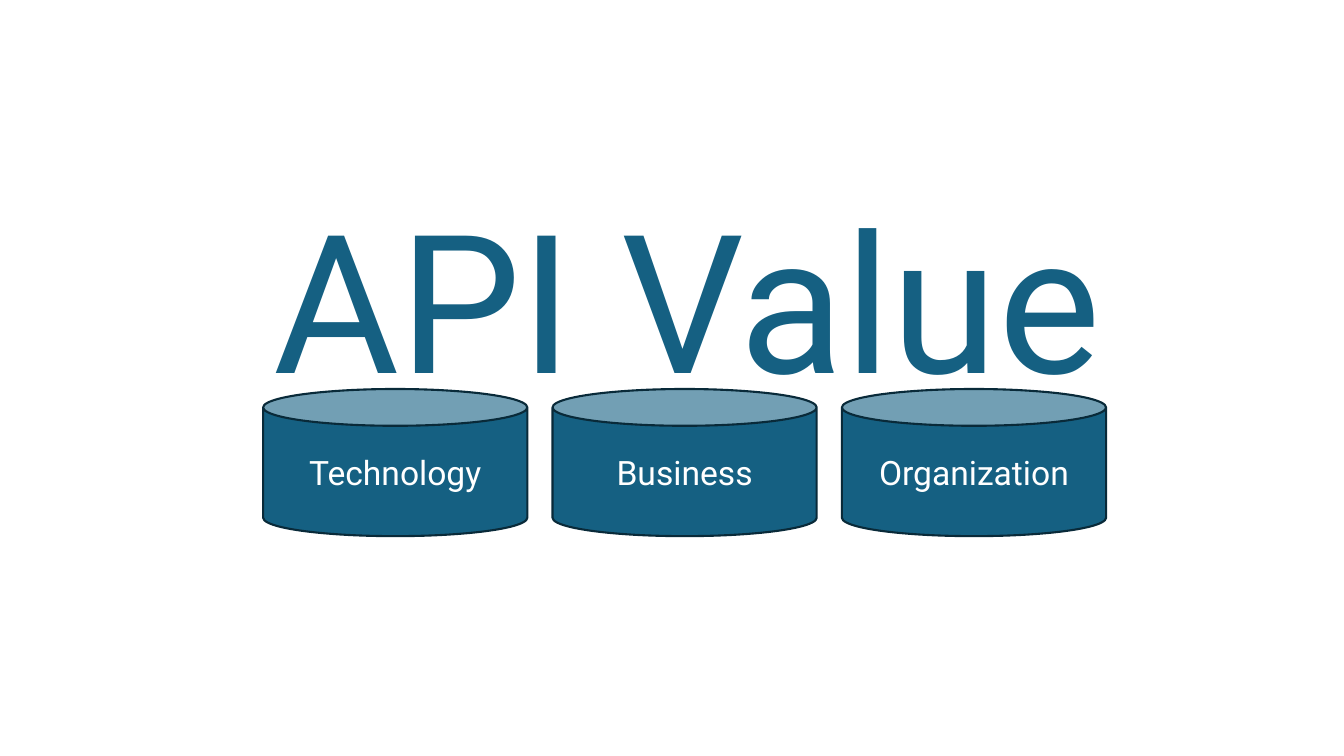
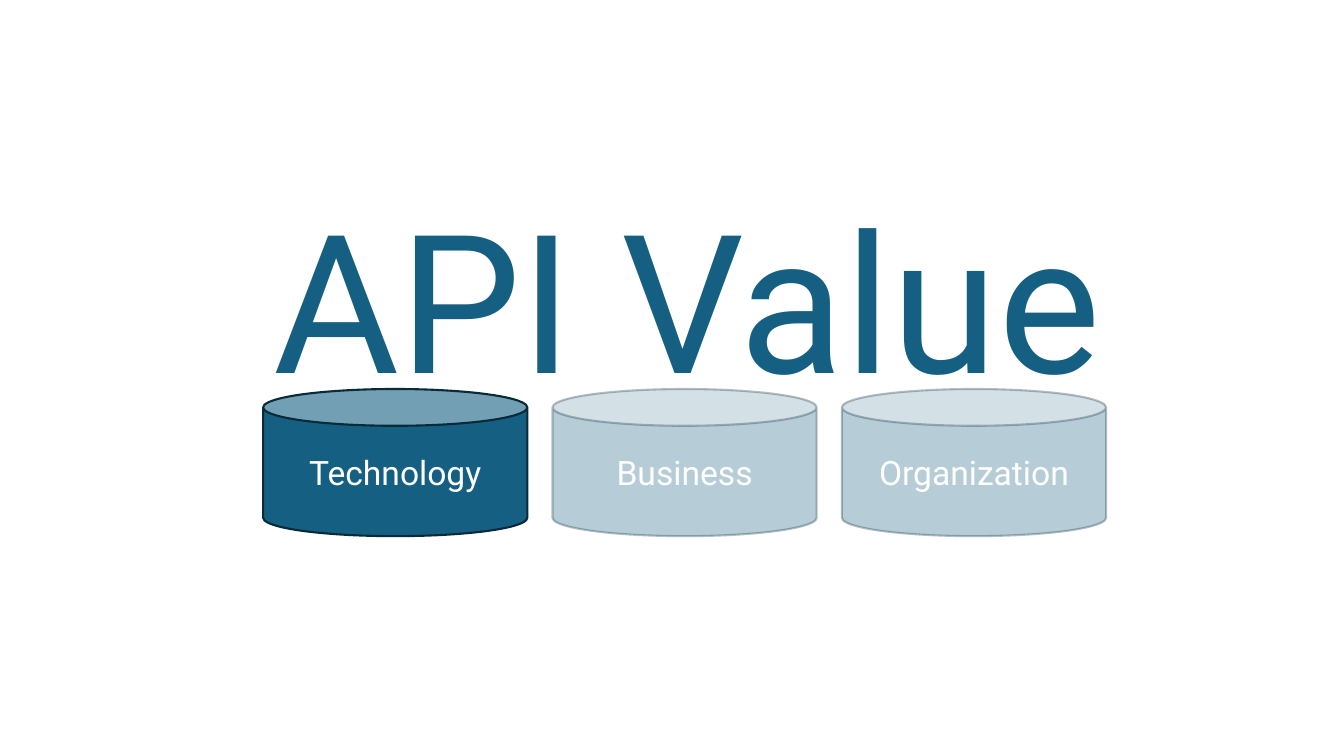
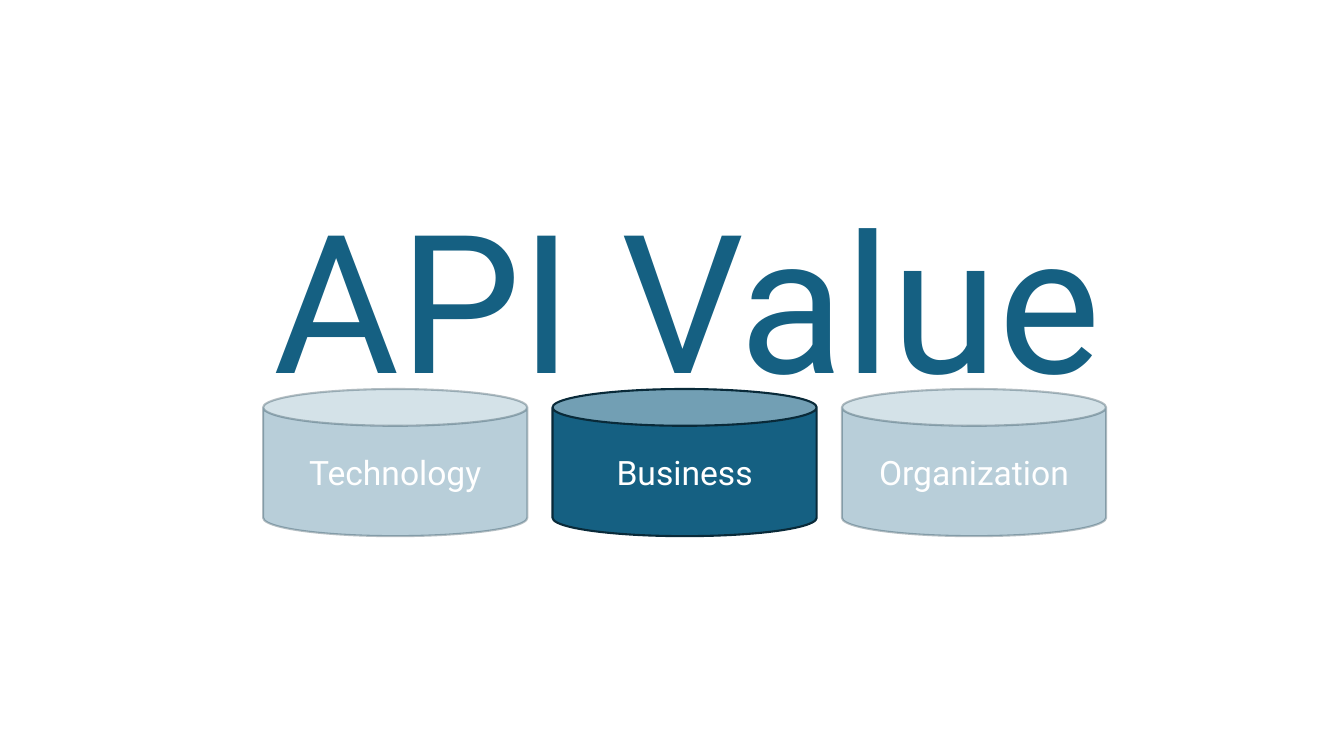
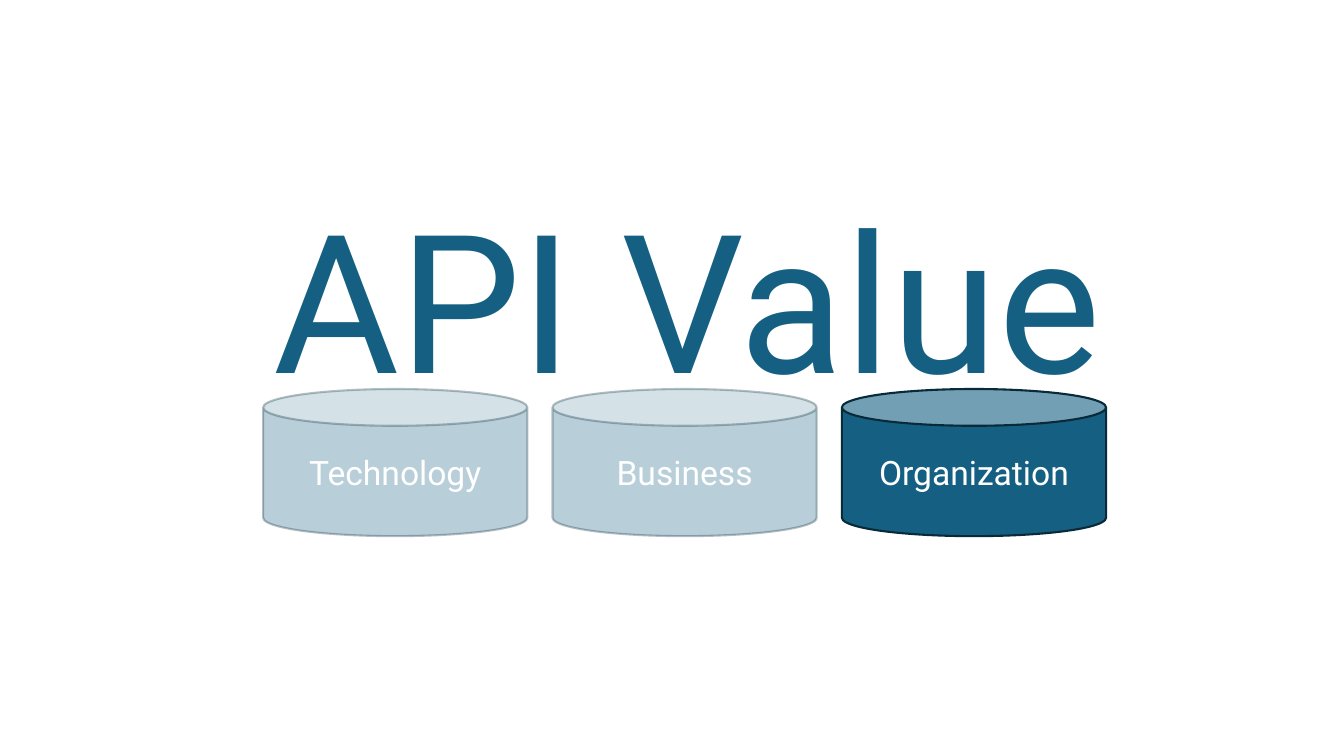
from dataclasses import dataclass
from typing import Optional

from lxml import etree
from pptx import Presentation
from pptx import util as u
from pptx.dml import color, fill
from pptx.enum import shapes, text
from pptx.oxml import ns

COLORS = {"blue": "156082", "outline": "092A39", "white": "FFFFFF"}
FONT = "Roboto"
TITLE = "API Value"
TITLE_ONLY_LAYOUT = 5

# Row of pillars
PILLARS = ("Technology", "Business", "Organization")
ROW_LEFT, ROW_TOP = u.Inches(2.61), u.Inches(3.86)
PILLAR_WIDTH, PILLAR_HEIGHT = u.Inches(2.62), u.Inches(1.46)
PILLAR_GAP = u.Inches(0.25)


@dataclass(frozen=True)
class View:
    """One slide: the pillar in focus (None for all) and the opacity of the rest, in percent."""
    focus: Optional[str] = None
    fill_opacity: int = 30
    line_opacity: int = 30


VIEWS = (
    View(),
    View("Technology", fill_opacity=31),
    View("Business", line_opacity=29),
    View("Organization"),
)


def rgb(name: str) -> color.RGBColor:
    return color.RGBColor.from_string(COLORS[name])


def paint(target: fill.FillFormat, name: str, opacity: int = 100) -> None:
    """Fill with a solid colour, translucent below 100 percent."""
    target.solid()
    target.fore_color.rgb = rgb(name)
    if opacity < 100:
        solid = target._xPr.find(ns.qn("a:solidFill"))
        etree.SubElement(solid[0], ns.qn("a:alpha"), val=str(opacity * 1000))


def write(shape, words: str, size: int, name: str, alignment: text.PP_ALIGN) -> None:
    """Set the single line of text of a shape."""
    shape.text_frame.text = words
    paragraph = shape.text_frame.paragraphs[0]
    paragraph.alignment = alignment
    font = paragraph.runs[0].font
    font.name, font.size = FONT, u.Pt(size)
    font.color.rgb = rgb(name)


def add_title(slide) -> None:
    title = slide.shapes.title
    title.left, title.top = ROW_LEFT, u.Inches(1.74)
    title.width, title.height = u.Inches(8.62), u.Inches(2.42)
    write(title, TITLE, 138, "blue", text.PP_ALIGN.LEFT)
    frame = title.text_frame
    frame.word_wrap = False
    frame.auto_size = text.MSO_AUTO_SIZE.SHAPE_TO_FIT_TEXT
    frame.vertical_anchor = text.MSO_ANCHOR.TOP


def add_pillar(slide, index: int, label: str, view: View) -> None:
    left = ROW_LEFT + index * (PILLAR_WIDTH + PILLAR_GAP)
    pillar = slide.shapes.add_shape(
        shapes.MSO_SHAPE.CAN, left, ROW_TOP, PILLAR_WIDTH, PILLAR_HEIGHT)
    pillar.shadow.inherit = False
    in_focus = view.focus in (None, label)
    paint(pillar.fill, "blue", 100 if in_focus else view.fill_opacity)
    pillar.line.width = u.Pt(1.5)
    paint(pillar.line.fill, "outline", 100 if in_focus else view.line_opacity)
    write(pillar, label, 24, "white", text.PP_ALIGN.CENTER)
    pillar.text_frame.vertical_anchor = text.MSO_ANCHOR.MIDDLE


def main() -> None:
    presentation = Presentation()
    presentation.slide_width = u.Inches(13.33)
    presentation.slide_height = u.Inches(7.5)
    paint(presentation.slide_master.background.fill, "white")
    for view in VIEWS:
        slide = presentation.slides.add_slide(presentation.slide_layouts[TITLE_ONLY_LAYOUT])
        add_title(slide)
        for index, label in enumerate(PILLARS):
            add_pillar(slide, index, label, view)
    presentation.save("out.pptx")


if __name__ == "__main__":
    main()
